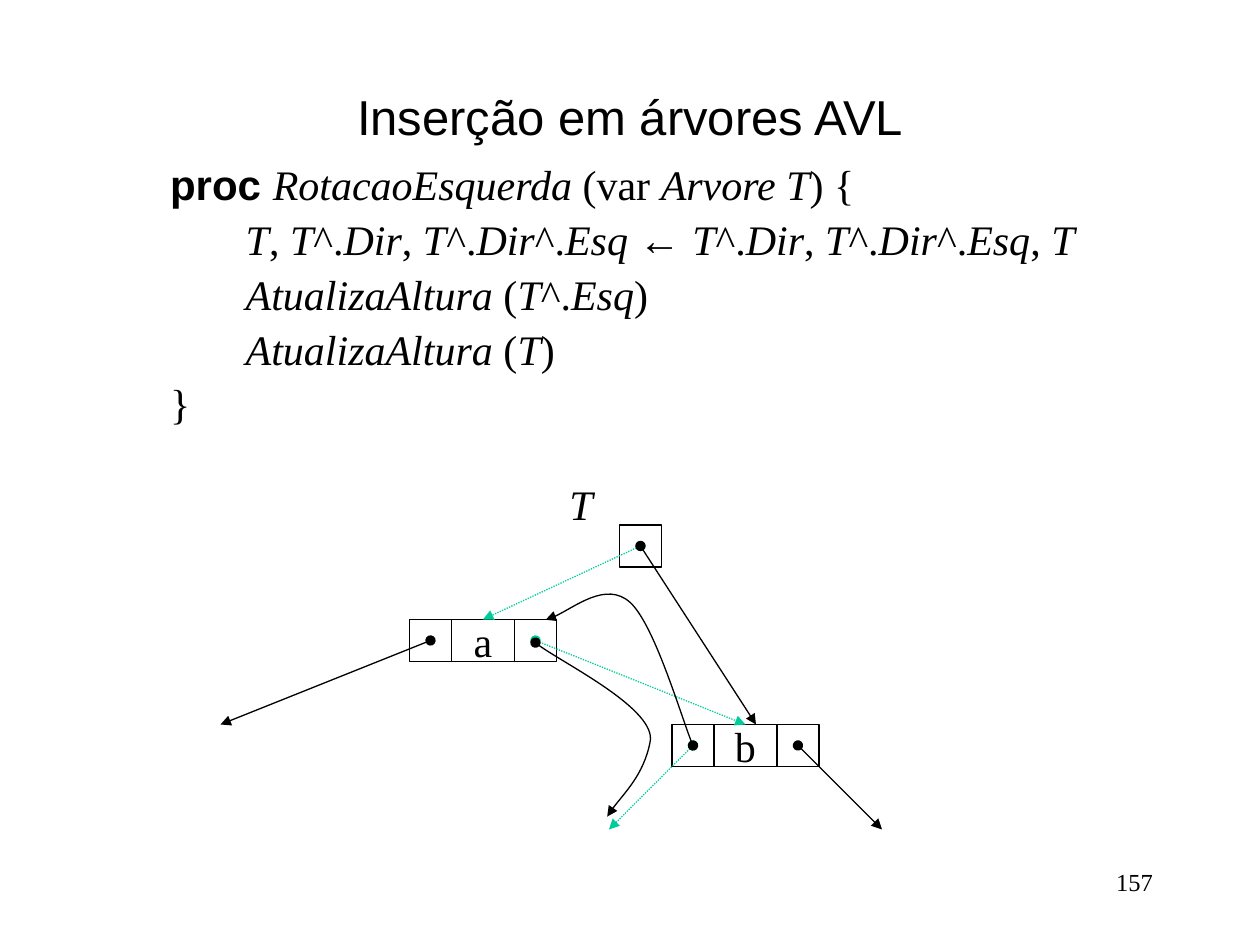
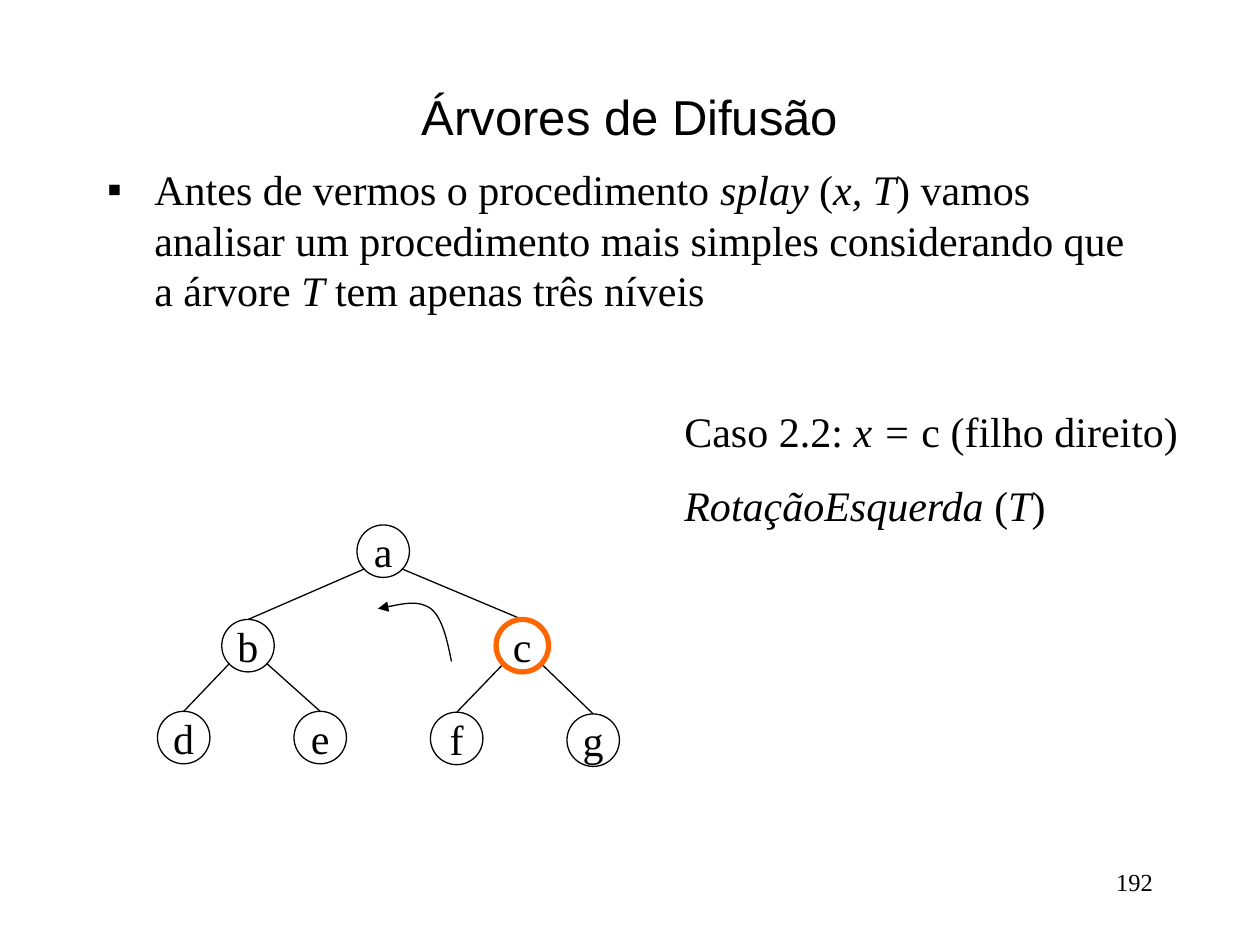
from dataclasses import dataclass
from typing import NamedTuple

from pptx import Presentation
from pptx.dml.color import RGBColor
from pptx.enum.dml import MSO_LINE
from pptx.enum.shapes import MSO_CONNECTOR, MSO_SHAPE
from pptx.enum.text import MSO_ANCHOR, MSO_AUTO_SIZE, PP_ALIGN
from pptx.oxml.ns import qn
from pptx.util import Pt

LEFT, CENTER, RIGHT = PP_ALIGN.LEFT, PP_ALIGN.CENTER, PP_ALIGN.RIGHT
TOP, MIDDLE = MSO_ANCHOR.TOP, MSO_ANCHOR.MIDDLE
FIXED, GROW = MSO_AUTO_SIZE.NONE, MSO_AUTO_SIZE.SHAPE_TO_FIT_TEXT
RECT, OVAL = MSO_SHAPE.RECTANGLE, MSO_SHAPE.OVAL
STRAIGHT, DOTTED = MSO_CONNECTOR.STRAIGHT, MSO_LINE.ROUND_DOT
TOP_SITE = 0


@dataclass(frozen=True)
class Theme:
    ink: RGBColor = RGBColor(0x00, 0x00, 0x00)
    old_link: RGBColor = RGBColor(0x00, 0xCC, 0x99)
    highlight: RGBColor = RGBColor(0xFF, 0x66, 0x00)
    sans: str = "Arial"
    serif: str = "Times New Roman"
    title_size: float = 28
    body_size: float = 24
    number_size: float = 14
    thin: float = 0.75
    thick: float = 3


class Box(NamedTuple):
    x: float
    y: float
    w: float
    h: float


class Point(NamedTuple):
    x: float
    y: float


class Cells(NamedTuple):
    """A tree node drawn as pointer, key, pointer."""
    left: Point
    key: object
    right: Point


class Node(NamedTuple):
    x: float
    y: float
    parent: str = ""
    side: int = 0


T = Theme()
TITLE = Box(54, 48, 612, 36)
NUMBER = Box(516, 492, 150, 36)
BODY_X, BODY_Y, BODY_W = 54, 90, 612
CELL, KEY_W = 24, 36
NODE = 30
EDGE_DX, EDGE_DY = 10.5, 25
CODE_X, CODE_INDENT = 36, 43.2
BODY_GAP, NOTE_GAP = 5.5, 13.5

# Asterisks enclose italics; these plain pieces have a face of their own.
SPECIAL = {"proc ": {"name": T.sans, "bold": True}, "← ": {"name": T.sans}}
CODE = [
    (0, "proc *RotacaoEsquerda* (var *Arvore T*) {"),
    (1, "*T*, *T*^.*Dir*, *T*^.*Dir*^.*Esq *← *T*^.*Dir*, *T*^.*Dir*^.*Esq*, *T*"),
    (1, "*AtualizaAltura* (*T*^.*Esq*)"),
    (1, "*AtualizaAltura* (*T*)"),
    (0, "}"),
]
INTRO = ("Antes de vermos o procedimento *splay *(*x, T*) vamos analisar um "
         "procedimento mais simples considerando que a árvore *T* tem apenas três níveis")
NOTES = ["Caso 2.2: *x = *c (filho direito)", "*RotaçãoEsquerda *(*T*)"]

TREE = {
    "a": Node(204, 300),
    "b": Node(126.75, 354, "a", -1),
    "c": Node(283.5, 354, "a", 1),
    "d": Node(90, 406.5, "b", -1),
    "e": Node(168, 406.5, "b", 1),
    "f": Node(246, 407, "c", -1),
    "g": Node(324, 408, "c", 1),
}
NEW_RIGHT_OF_A = [(306, 367.2), (316.8, 376.6), (375.8, 405.4), (371.5, 424.1),
                  (367.9, 442.8), (352.1, 457.9), (347, 466.6)]
NEW_LEFT_OF_B = [(396, 426), (390.2, 412.6), (373.7, 356.4), (360, 344.2),
                 (346.3, 331.9), (321.8, 352.1), (311.8, 354.2)]
ROTATION = [(258, 378), (255.6, 365.8), (252.7, 352.8), (246.2, 347.8),
            (239, 342.7), (227.5, 345.6), (216, 347.8)]


def set_all(obj, values: dict) -> None:
    for name, value in values.items():
        setattr(obj, name, value)


def emu(values) -> list:
    return [Pt(v) for v in values]


def place(sp, box: Box) -> None:
    set_all(sp, dict(zip(("left", "top", "width", "height"), emu(box))))


def write(p, text: str, size: float = T.body_size, font: str = T.serif,
          align=LEFT, **spacing) -> None:
    set_all(p, {"alignment": align, **spacing})
    for i, piece in enumerate(text.split("*")):
        if piece:
            r = p.add_run()
            r.text = piece
            set_all(r.font, {"size": Pt(size), "name": font, "bold": False,
                             "italic": i % 2 == 1, **SPECIAL.get(piece, {})})
            r.font.color.rgb = T.ink


def indent(p, margin: float, first: float, bullet: str = "") -> None:
    pPr = p._p.get_or_add_pPr()
    pPr.set("marL", str(Pt(margin)))
    pPr.set("indent", str(Pt(first)))
    mark = pPr.makeelement(qn("a:buChar" if bullet else "a:buNone"),
                           {"char": bullet} if bullet else {})
    pPr.append(mark)


def paragraphs(tf, count: int) -> list:
    return [tf.paragraphs[0]] + [tf.add_paragraph() for _ in range(count - 1)]


def text_box(s, box: Box, wrap: bool = True, size=FIXED):
    sp = s.shapes.add_textbox(*emu(box))
    set_all(sp.text_frame, {"word_wrap": wrap, "auto_size": size})
    return sp.text_frame


def new_slide(prs, title: str, number: str, body_height: float):
    """Add a slide with title and page number; return it with its body frame."""
    s = prs.slides.add_slide(prs.slide_layouts[1])
    frames = []
    for sp, box, anchor in zip(s.placeholders,
                               (TITLE, Box(BODY_X, BODY_Y, BODY_W, body_height)),
                               (MIDDLE, TOP)):
        place(sp, box)
        set_all(sp.text_frame, {"auto_size": FIXED, "vertical_anchor": anchor,
                                "word_wrap": True})
        frames.append(sp.text_frame)
    write(frames[0].paragraphs[0], title, T.title_size, T.sans, CENTER)
    write(text_box(s, NUMBER).paragraphs[0], number, T.number_size, align=RIGHT)
    return s, frames[1]


def outline(sp, color=T.ink, width: float = T.thin, dash=None,
            head: str = "", tail: str = "") -> None:
    line = sp.line
    line.color.rgb = color
    line.width = Pt(width)
    if dash:
        line.dash_style = dash
    ln = line._get_or_add_ln()
    for tag, end in (("a:headEnd", head), ("a:tailEnd", tail)):
        if end:
            ln.append(ln.makeelement(qn(tag), {"type": end}))


def hollow(s, kind, box: Box, label: str = "", **line):
    sp = s.shapes.add_shape(kind, *emu(box))
    sp.shadow.inherit = False
    sp.fill.background()
    outline(sp, **line)
    if label:
        set_all(sp.text_frame, {"word_wrap": False, "vertical_anchor": MIDDLE})
        write(sp.text_frame.paragraphs[0], label, align=CENTER)
    return sp


def connect(s, start: Point, end: Point, target=None, **line) -> None:
    """Draw a straight line, joined to the top of target if there is one."""
    cx = s.shapes.add_connector(STRAIGHT, *emu((*start, *end)))
    if target is not None:
        cx.end_connect(target, TOP_SITE)
    outline(cx, **line)
    spPr = cx._element.spPr
    spPr.append(spPr.makeelement(qn("a:effectLst"), {}))


def curve(s, points: list, **line) -> None:
    """Draw a chain of cubic curves: a start, then three points for each."""
    start, *rest = [emu(point) for point in points]
    fb = s.shapes.build_freeform(*start)
    fb.add_line_segments(rest, close=False)
    sp = fb.convert_to_shape()
    segments = list(sp._element.iter(qn("a:lnTo")))
    for i in range(0, len(segments), 3):
        first, *others = segments[i:i + 3]
        first.tag = qn("a:cubicBezTo")
        for other in others:
            first.append(other[0])
            other.getparent().remove(other)
    sp.shadow.inherit = False
    sp.fill.background()
    outline(sp, **line)


def top_of(sp) -> Point:
    return Point((sp.left + sp.width / 2) / Pt(1), sp.top / Pt(1))


def cell(s, x: float, y: float) -> Point:
    """Draw a pointer cell and return its centre."""
    hollow(s, RECT, Box(x, y, CELL, CELL))
    return Point(x + CELL / 2, y + CELL / 2)


def record(s, x: float, y: float, label: str) -> Cells:
    key = hollow(s, RECT, Box(x + CELL, y, KEY_W, CELL), label)
    return Cells(cell(s, x, y), key, cell(s, x + CELL + KEY_W, y))


def rotation_code_slide(prs) -> None:
    s, tf = new_slide(prs, "Inserção em árvores AVL", "157", 168)
    for p, (depth, text) in zip(paragraphs(tf, len(CODE)), CODE):
        write(p, text, level=1, line_spacing=0.9, space_before=Pt(BODY_GAP))
        indent(p, CODE_X + depth * CODE_INDENT, 0)

    a = record(s, 234, 354, "a")
    b = record(s, 384, 414, "b")
    root = cell(s, 354, 300)
    tf = text_box(s, Box(318, 270, 28, 36), wrap=False, size=GROW)
    write(tf.paragraphs[0], "*T*", align=CENTER)

    pointer = {"head": "oval", "tail": "triangle"}
    old = {**pointer, "color": T.old_link, "dash": DOTTED}
    for start, target in ((a.right, b.key), (root, a.key)):
        connect(s, start, top_of(target), target, **old)
    connect(s, b.left, Point(348, 474), **old)
    for start, end in ((a.left, Point(126, 414)), (b.right, Point(504, 474)),
                       (root, Point(432, 414))):
        connect(s, start, end, **pointer)
    for points in (NEW_RIGHT_OF_A, NEW_LEFT_OF_B):
        curve(s, points, **pointer)


def splay_slide(prs) -> None:
    s, tf = new_slide(prs, "Árvores de Difusão", "192", 390)
    p = tf.paragraphs[0]
    write(p, INTRO, space_before=Pt(BODY_GAP))
    indent(p, 27, -27, "▪")

    drawn = {}
    for label, node in TREE.items():
        sp = hollow(s, OVAL, Box(node.x, node.y, NODE, NODE), label)
        drawn[label] = sp
        if node.parent:
            above = top_of(drawn[node.parent])
            start = Point(above.x + node.side * EDGE_DX, above.y + EDGE_DY)
            connect(s, start, top_of(sp), sp)
    hollow(s, OVAL, Box(TREE["c"].x, TREE["c"].y, NODE, NODE),
           color=T.highlight, width=T.thick)

    tf = text_box(s, Box(384, 228, 324, 79), size=GROW)
    for p, text in zip(paragraphs(tf, len(NOTES)), NOTES):
        write(p, text, space_before=Pt(NOTE_GAP))
    curve(s, ROTATION, tail="triangle")


def main() -> None:
    prs = Presentation()
    set_all(prs, {"slide_width": Pt(720), "slide_height": Pt(540)})
    rotation_code_slide(prs)
    splay_slide(prs)
    prs.save("out.pptx")


if __name__ == "__main__":
    main()
